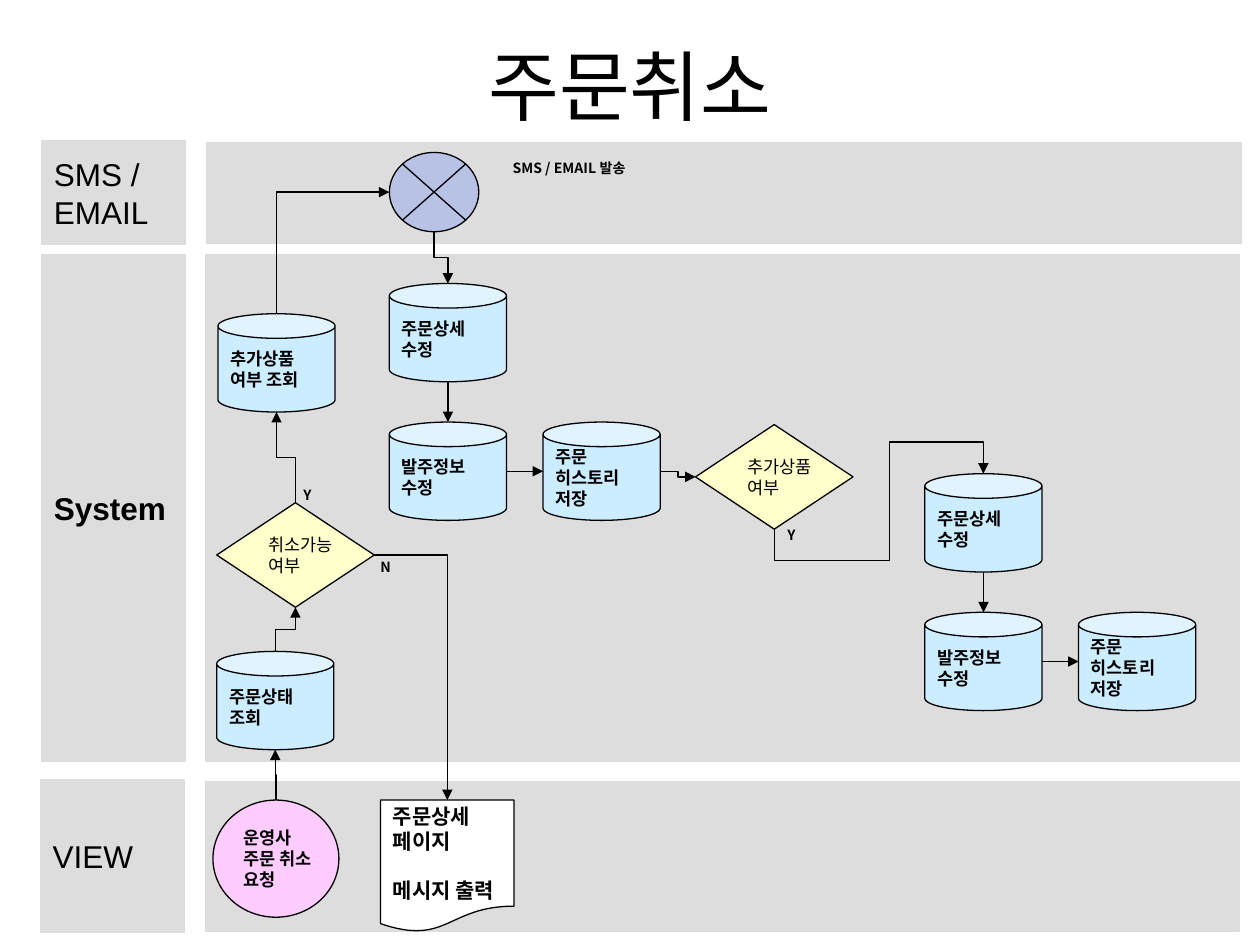
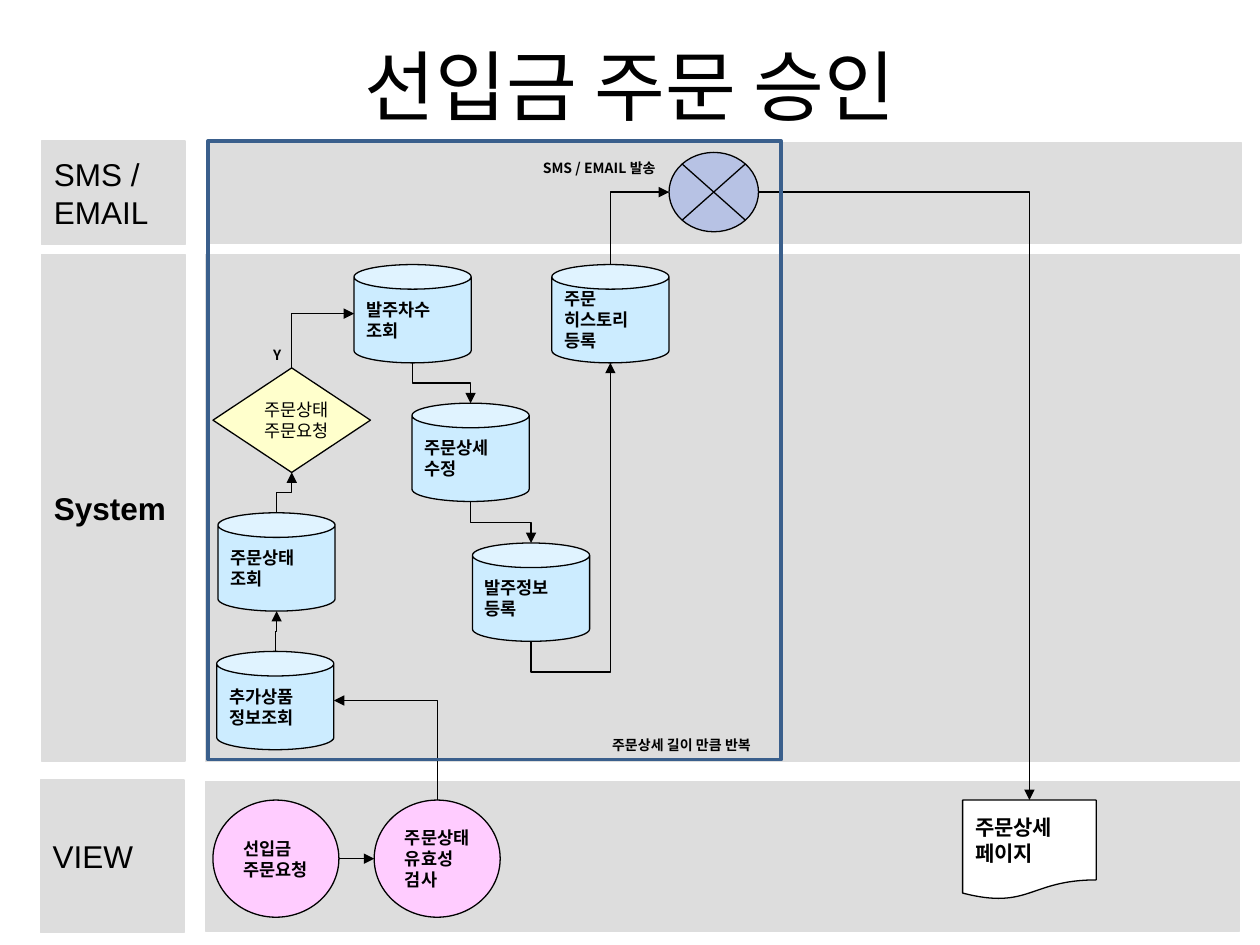
from dataclasses import dataclass, field

from lxml import etree
from pptx import Presentation
from pptx import util as u
from pptx.dml.color import RGBColor
from pptx.enum import shapes, text
from pptx.oxml.ns import qn

LATIN, HANGUL = "Arial", "Noto Sans CJK KR"
BLACK, GREY, WHITE = "000000", "DDDDDD", "FFFFFF"
AUTO = shapes.MSO_SHAPE


@dataclass
class Lane:
    label: str
    label_box: tuple
    pane_box: tuple
    bold: bool = False


@dataclass
class Style:
    """Look of one kind of node; sites maps its sides to connection points."""
    shape: int
    fill: str
    width: float
    height: float
    sites: dict
    size: float = 10
    bold: bool = True
    font: str = LATIN
    alpha: int = 100


@dataclass
class Node:
    key: str
    kind: str
    left: float
    top: float
    label: str = ""
    height: float = 0
    gap: dict = field(default_factory=dict)  # line index -> points before


@dataclass
class Link:
    start: str
    start_side: str
    end: str
    end_side: str
    bends: tuple = (0.5,)


@dataclass
class Note:
    label: str
    left: float
    top: float
    width: float = 0.27


@dataclass
class Flow:
    title: str
    nodes: list
    links: list
    notes: list
    loop_box: tuple = ()


LANES = [
    Lane("VIEW", (0.32, 6.19, 1.14, 1.21), (1.63, 6.2, 8.21, 1.19)),
    Lane("System", (0.33, 2.02, 1.14, 4.02), (1.63, 2.02, 8.21, 4.02), True),
    Lane("SMS /\nEMAIL", (0.33, 1.12, 1.14, 0.82), (1.64, 1.13, 8.21, 0.8)),
]

FOUR = dict(top=0, left=1, bottom=2, right=3)
ROUND = dict(top=0, left=2, bottom=4, right=6)
CAN = dict(top=1, left=2, bottom=3, right=4)
STYLES = {
    "request": Style(AUTO.OVAL, "FFCCFF", 1, 0.93, ROUND),
    "data": Style(AUTO.CAN, "CCECFF", 0.93, 0.78, CAN),
    "check": Style(AUTO.DIAMOND, "FFFFCC", 1.25, 0.83, FOUR, bold=False, font=HANGUL),
    "send": Style(AUTO.FLOWCHART_SUMMING_JUNCTION, "3366FF", 0.71, 0.63, ROUND, alpha=22),
    "page": Style(AUTO.FLOWCHART_DOCUMENT, WHITE, 1.06, 0.79, FOUR, size=12),
}

CANCEL = Flow(
    "주문취소",
    [
        Node("request", "request", 1.69, 6.35, "운영사\n주문 취소\n요청"),
        Node("send", "send", 3.09, 1.21),
        Node("extra?", "check", 5.52, 3.37, "추가상품\n여부"),
        Node("extra", "data", 1.73, 2.49, "추가상품\n여부 조회"),
        Node("detail", "data", 3.09, 2.25, "주문상세\n수정"),
        Node("supply", "data", 3.09, 3.35, "발주정보\n수정"),
        Node("history", "data", 4.31, 3.35, "주문\n히스토리\n저장"),
        Node("detail 2", "data", 7.34, 3.76, "주문상세\n수정"),
        Node("supply 2", "data", 7.34, 4.86, "발주정보\n수정"),
        Node("history 2", "data", 8.56, 4.86, "주문\n히스토리\n저장"),
        Node("state", "data", 1.72, 5.17, "주문상태\n조회"),
        Node("cancel?", "check", 1.72, 3.99, "취소가능\n여부"),
        Node("page", "page", 3.02, 6.35, "주문상세\n페이지\n메시지 출력", 1.05, {2: 14}),
    ],
    [
        Link("request", "top", "state", "bottom"),
        Link("state", "top", "cancel?", "bottom"),
        Link("cancel?", "top", "extra", "bottom"),
        Link("cancel?", "right", "page", "top"),
        Link("extra", "top", "send", "left"),
        Link("send", "bottom", "detail", "top"),
        Link("detail", "bottom", "supply", "top"),
        Link("supply", "right", "history", "left"),
        Link("history", "right", "extra?", "left"),
        Link("extra?", "bottom", "detail 2", "top", (-0.57, 0.55, 1.57)),
        Link("detail 2", "bottom", "supply 2", "top"),
        Link("supply 2", "right", "history 2", "left"),
    ],
    [
        Note("SMS / EMAIL 발송", 3.97, 1.22, 1.17),
        Note("Y", 6.15, 4.13),
        Note("Y", 2.31, 3.81),
        Note("N", 2.92, 4.38),
    ],
)

APPROVE = Flow(
    "선입금 주문 승인",
    [
        Node("request", "request", 1.69, 6.35, "선입금\n주문요청"),
        Node("validate", "request", 2.97, 6.35, "주문상태\n유효성\n검사"),
        Node("send", "send", 5.31, 1.21),
        Node("state?", "check", 1.69, 2.92, "주문상태\n주문요청"),
        Node("state", "data", 1.73, 4.07, "주문상태\n조회"),
        Node("extra", "data", 1.72, 5.17, "추가상품\n정보조회"),
        Node("round", "data", 2.81, 2.1, "발주차수\n조회"),
        Node("history", "data", 4.38, 2.1, "주문\n히스토리\n등록"),
        Node("detail", "data", 3.27, 3.2, "주문상세\n수정"),
        Node("supply", "data", 3.75, 4.31, "발주정보\n등록"),
        Node("page", "page", 7.64, 6.35, "주문상세\n페이지"),
    ],
    [
        Link("request", "right", "validate", "left"),
        Link("validate", "top", "extra", "right"),
        Link("extra", "top", "state", "bottom"),
        Link("state", "top", "state?", "bottom"),
        Link("state?", "top", "round", "left"),
        Link("round", "bottom", "detail", "top"),
        Link("detail", "bottom", "supply", "top"),
        Link("supply", "bottom", "history", "bottom", (-0.11,)),
        Link("history", "top", "send", "left"),
        Link("send", "right", "page", "top"),
    ],
    [
        Note("SMS / EMAIL 발송", 4.21, 1.22, 1.17),
        Note("Y", 2.07, 2.7),
        Note("주문상세 길이 만큼 반복", 4.76, 5.8, 1.44),
    ],
    loop_box=(1.65, 1.12, 4.55, 4.91),
)


def rgb(value: str) -> RGBColor:
    return RGBColor.from_string(value)


def write(sp, label: str, *, size: float, font: str = HANGUL, bold: bool = False,
          align=text.PP_ALIGN.LEFT, anchor=text.MSO_ANCHOR.MIDDLE,
          wrap: bool = False, gap: dict | None = None) -> None:
    """Fill a shape with one paragraph per line of the label."""
    tf = sp.text_frame
    tf.word_wrap = wrap
    tf.vertical_anchor = anchor
    for i, line in enumerate(label.split("\n")):
        p = tf.add_paragraph() if i else tf.paragraphs[0]
        p.alignment = align
        if gap and i in gap:
            p.space_before = u.Pt(gap[i])
        r = p.add_run()
        r.text = line
        r.font.size, r.font.bold, r.font.name = u.Pt(size), bold, font
        r.font.color.rgb = rgb(BLACK)
        etree.SubElement(r.font._element, qn("a:ea"), typeface=HANGUL)


def add_box(s, shape: int, box: tuple, fill: str | None, line: str,
            weight: float = 0.75, alpha: int = 100):
    sp = s.shapes.add_shape(shape, *map(u.Inches, box))
    sp.shadow.inherit = False
    sp.line.color.rgb, sp.line.width = rgb(line), u.Pt(weight)
    if fill is None:
        sp.fill.background()
        return sp
    sp.fill.solid()
    sp.fill.fore_color.rgb = rgb(fill)
    if alpha < 100:
        colour = sp._element.spPr.find(qn("a:solidFill"))[0]
        etree.SubElement(colour, qn("a:alpha"), val=str(alpha * 1000))
    return sp


def add_text(s, box: tuple, label: str, **fmt) -> None:
    write(s.shapes.add_textbox(*map(u.Inches, box)), label, **fmt)


def add_node(s, node: Node):
    st = STYLES[node.kind]
    box = (node.left, node.top, st.width, node.height or st.height)
    sp = add_box(s, st.shape, box, st.fill, BLACK, alpha=st.alpha)
    if node.label:
        write(sp, node.label, size=st.size, font=st.font, bold=st.bold, gap=node.gap)
    return sp


def side_point(sp, side: str) -> tuple:
    fx, fy = dict(top=(0.5, 0), left=(0, 0.5), bottom=(0.5, 1), right=(1, 0.5))[side]
    return sp.left + sp.width * fx, sp.top + sp.height * fy


def add_link(s, link: Link, nodes: dict, drawn: dict) -> None:
    """Draw an elbow arrow that leaves and enters at right angles to the sides."""
    a, b = drawn[link.start], drawn[link.end]
    (x1, y1), (x2, y2) = side_point(a, link.start_side), side_point(b, link.end_side)
    upright = link.start_side in ("top", "bottom")
    same_axis = upright == (link.end_side in ("top", "bottom"))
    bends = link.bends if same_axis else ()

    # Join both ends; round shapes and cans number their sites past 3
    cn = s.shapes.add_connector(shapes.MSO_CONNECTOR.ELBOW, 0, 0, 0, 0)
    cn.begin_connect(a, 0)
    cn.end_connect(b, 0)
    for tag, key, side in (("a:stCxn", link.start, link.start_side),
                           ("a:endCxn", link.end, link.end_side)):
        site = STYLES[nodes[key].kind].sites[side]
        next(cn._element.iter(qn(tag))).set("idx", str(site))

    # An elbow starts sideways, so one that starts upright is turned by 90 degrees
    spPr = cn._element.spPr
    if upright:
        cx, cy, dx, dy = (x1 + x2) / 2, (y1 + y2) / 2, x2 - x1, y2 - y1
        x1, y1, x2, y2 = cx - dy / 2, cy + dx / 2, cx + dy / 2, cy - dx / 2
        spPr.find(qn("a:xfrm")).set("rot", "5400000")
    cn.begin_x, cn.begin_y, cn.end_x, cn.end_y = map(int, (x1, y1, x2, y2))

    geom = spPr.find(qn("a:prstGeom"))
    geom.set("prst", f"bentConnector{len(bends) + 2}")
    guides = geom.find(qn("a:avLst"))
    if guides is None:
        guides = etree.SubElement(geom, qn("a:avLst"))
    for i, bend in enumerate(bends, 1):
        etree.SubElement(guides, qn("a:gd"), name=f"adj{i}",
                         fmla=f"val {round(bend * 100000)}")

    cn.line.color.rgb, cn.line.width = rgb(BLACK), u.Pt(0.75)
    etree.SubElement(spPr.find(qn("a:ln")), qn("a:tailEnd"), type="triangle")
    etree.SubElement(spPr, qn("a:effectLst"))


def add_flow(prs, flow: Flow) -> None:
    s = prs.slides.add_slide(prs.slide_layouts[6])
    # Swimlanes and title
    for lane in LANES:
        add_box(s, AUTO.RECTANGLE, lane.pane_box, GREY, GREY)
        sp = add_box(s, AUTO.RECTANGLE, lane.label_box, GREY, GREY)
        write(sp, lane.label, size=18, font=LATIN, bold=lane.bold)
    add_text(s, (0.5, 0.05, 9, 1.25), flow.title, size=44, wrap=True,
             align=text.PP_ALIGN.CENTER)
    # Steps and arrows
    nodes = {node.key: node for node in flow.nodes}
    drawn = {key: add_node(s, node) for key, node in nodes.items()}
    for link in flow.links:
        add_link(s, link, nodes, drawn)
    # Frame around the repeated steps, then the small notes
    if flow.loop_box:
        add_box(s, AUTO.RECTANGLE, flow.loop_box, None, "3A5F8C", 2)
    for note in flow.notes:
        add_text(s, (note.left, note.top, note.width, 0.24), note.label, size=8,
                 bold=True, anchor=text.MSO_ANCHOR.TOP)


def main() -> None:
    prs = Presentation()
    prs.slide_width, prs.slide_height = u.Inches(10), u.Inches(7.5)
    for flow in (CANCEL, APPROVE):
        add_flow(prs, flow)
    prs.save("out.pptx")


if __name__ == "__main__":
    main()
